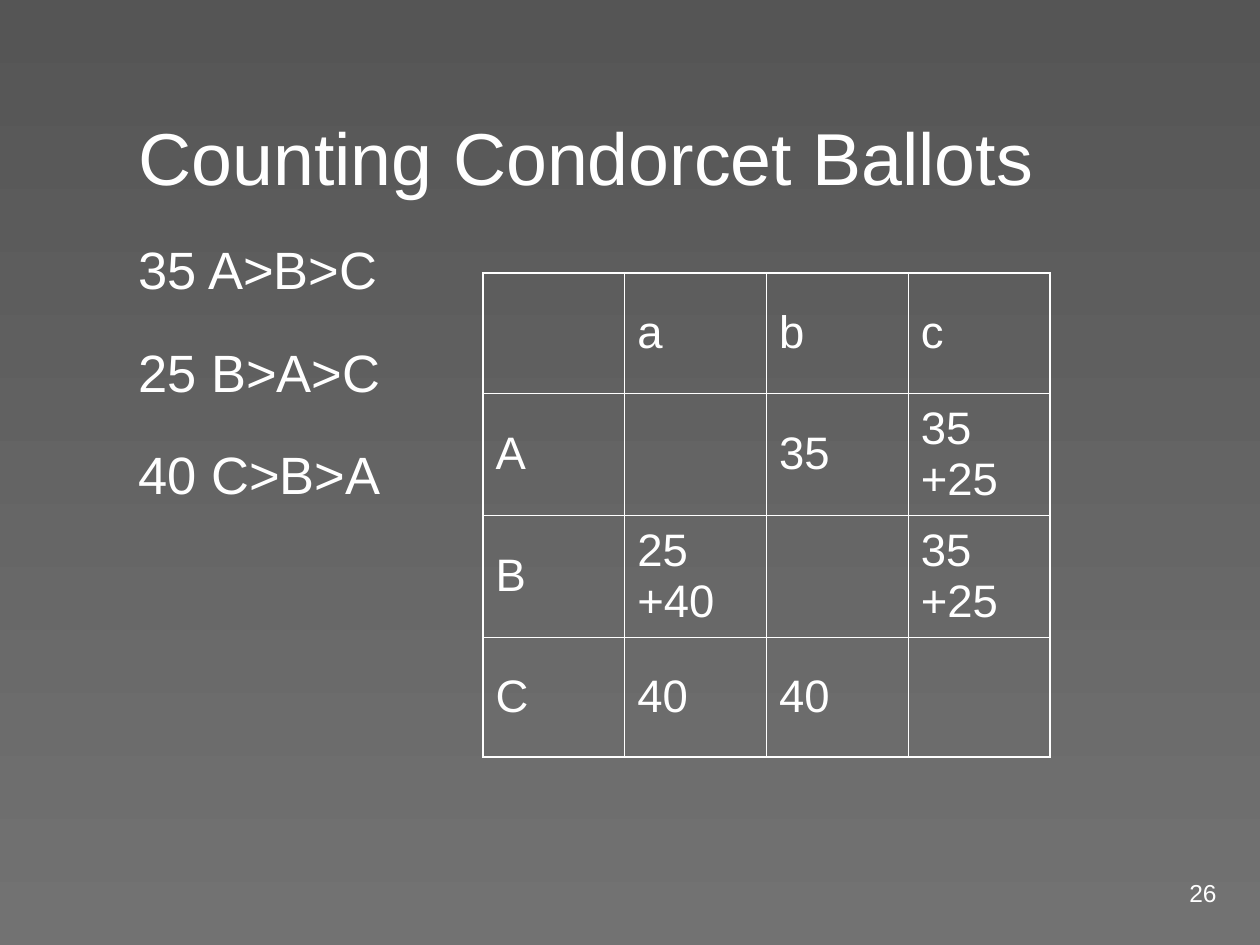
from dataclasses import dataclass

from lxml import etree
from pptx import Presentation
from pptx import util as u
from pptx.dml import color
from pptx.enum import text
from pptx.oxml import ns


@dataclass(frozen=True)
class Theme:
    """Colours, font and type sizes of the slide."""
    top: str = "555555"
    bottom: str = "727272"
    ink: str = "FFFFFF"
    font: str = "Arial"
    title: int = 42
    body: int = 30
    cell: int = 26
    number: int = 14
    outer: float = 1.08
    inner: float = 0.45


THEME = Theme()
PX_PER_INCH = 126
TITLE = "Counting Condorcet Ballots"
BALLOTS = ["35 A>B>C", "25 B>A>C", "40 C>B>A"]
COUNTS = [
    ["", "a", "b", "c"],
    ["A", "", "35", "35 +25"],
    ["B", "25 +40", "", "35 +25"],
    ["C", "40", "40", ""],
]


def px(n):
    """Turn px into EMU."""
    return u.Emu(round(n * u.Inches(1) / PX_PER_INCH))


def apply(obj, **values):
    """Set each named attribute on an object."""
    for name, value in values.items():
        setattr(obj, name, value)


def place(sp, box):
    """Move and size a shape to a px box."""
    apply(sp, **dict(zip(("left", "top", "width", "height"), map(px, box))))


def write(tf, lines, size, before=0, hang=0, **fmt):
    """Fill a text frame with one paragraph per line."""
    for i, line in enumerate(lines):
        p = tf.paragraphs[0] if i == 0 else tf.add_paragraph()
        r = p.add_run()
        r.text = line
        apply(p, **fmt)
        if i:
            p.space_before = u.Pt(before)
        if hang:
            pPr = p._p.get_or_add_pPr()
            pPr.set("marL", str(px(hang)))
            pPr.set("indent", str(-px(hang)))
        apply(r.font, name=THEME.font, size=u.Pt(size), bold=False)
        r.font.color.rgb = color.RGBColor.from_string(THEME.ink)


def border(cell, widths):
    """Draw the cell borders given as side and width in points."""
    tcPr = cell._tc.get_or_add_tcPr()
    for i, (side, width) in enumerate(widths.items()):
        ln = etree.Element(ns.qn(f"a:ln{side}"), w=str(u.Pt(width)))
        fill = etree.SubElement(ln, ns.qn("a:solidFill"))
        etree.SubElement(fill, ns.qn("a:srgbClr"), val=THEME.ink)
        tcPr.insert(i, ln)


def add_background(s):
    """Shade the slide from top to bottom."""
    fill = s.background.fill
    fill.gradient()
    fill.gradient_angle = 270
    for stop, rgb in zip(fill.gradient_stops, (THEME.top, THEME.bottom)):
        stop.color.rgb = color.RGBColor.from_string(rgb)


def add_title(s, box):
    """Place the title in its placeholder."""
    sp = s.shapes.title
    place(sp, box)
    apply(sp.text_frame, vertical_anchor=text.MSO_ANCHOR.MIDDLE,
          word_wrap=True, auto_size=text.MSO_AUTO_SIZE.NONE)
    write(sp.text_frame, [TITLE], THEME.title,
          alignment=text.PP_ALIGN.LEFT, line_spacing=0.85)


def add_text(s, box, lines, size, anchor=text.MSO_ANCHOR.TOP, **fmt):
    """Place a wrapped text box."""
    tf = s.shapes.add_textbox(*map(px, box)).text_frame
    apply(tf, word_wrap=True, vertical_anchor=anchor)
    write(tf, lines, size, **fmt)


def add_counts(s, box, row_heights):
    """Place the pairwise table with equal columns and a heavier frame."""
    n_rows, n_cols = len(COUNTS), len(COUNTS[0])
    table = s.shapes.add_table(n_rows, n_cols, *map(px, box)).table
    apply(table, first_row=False, horz_banding=False)
    for row, height in zip(table.rows, row_heights):
        row.height = px(height)
    for r, values in enumerate(COUNTS):
        for c, value in enumerate(values):
            cell = table.cell(r, c)
            cell.fill.background()
            cell.vertical_anchor = text.MSO_ANCHOR.MIDDLE
            write(cell.text_frame, [value], THEME.cell)
            edges = {"L": c == 0, "R": c == n_cols - 1,
                     "T": r == 0, "B": r == n_rows - 1}
            border(cell, {side: THEME.outer if edge else THEME.inner
                          for side, edge in edges.items()})


def main():
    """Build and save the slide."""
    prs = Presentation()
    apply(prs, slide_width=px(1260), slide_height=px(945))
    s = prs.slides.add_slide(prs.slide_layouts[5])
    add_background(s)
    add_title(s, (126, 84, 1040, 158))
    add_text(s, (126, 231, 305, 588), BALLOTS, THEME.body, before=22.5, hang=48)
    add_counts(s, (483, 273, 567, 484), (120, 122, 122, 120))
    add_text(s, (914, 882, 315, 32), ["26"], THEME.number,
             anchor=text.MSO_ANCHOR.BOTTOM, alignment=text.PP_ALIGN.RIGHT)
    prs.save("out.pptx")


if __name__ == "__main__":
    main()
